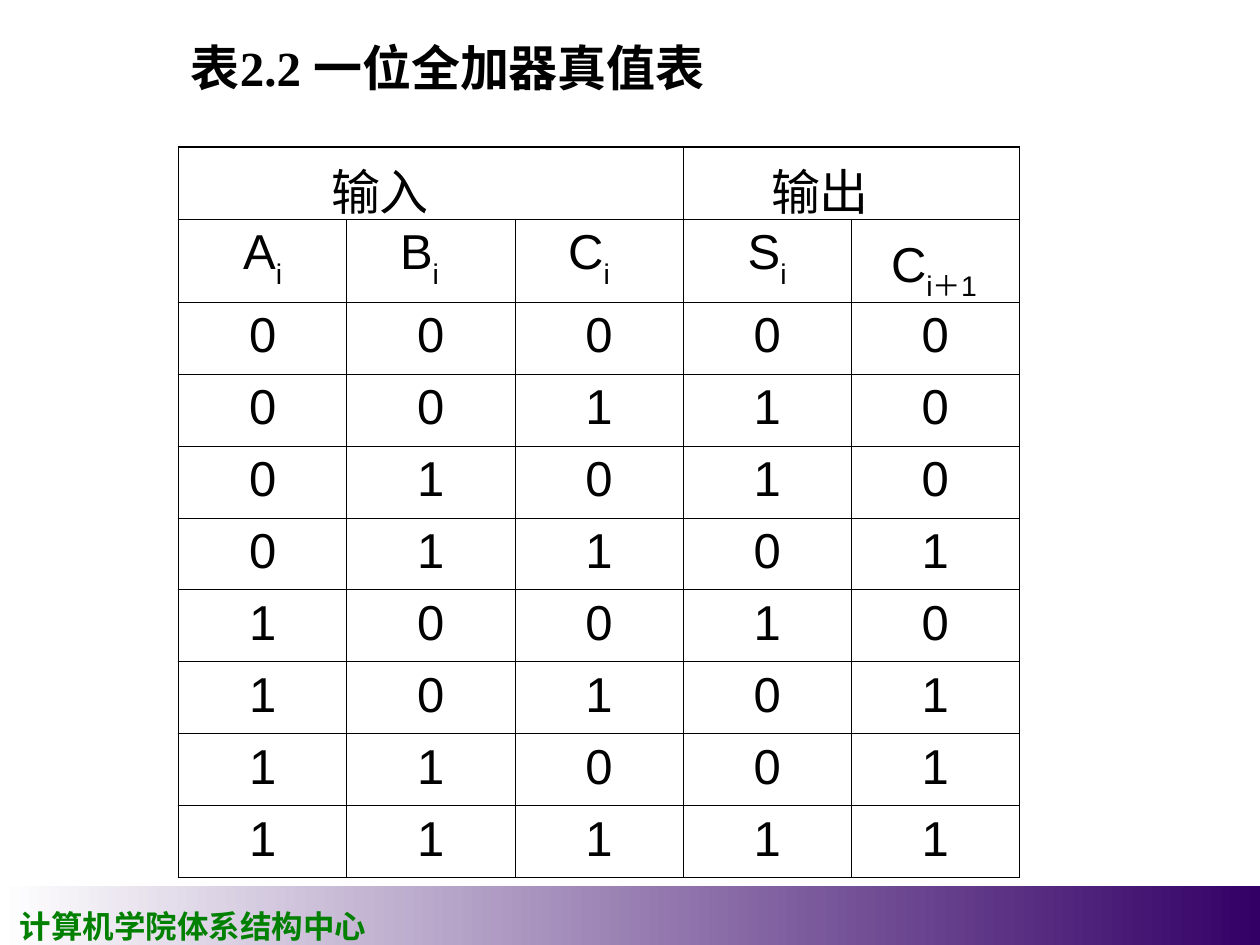
from itertools import product

from lxml import etree
from pptx import Presentation
from pptx import util as u
from pptx.dml import color
from pptx.enum import shapes, text
from pptx.oxml import ns


def rgb(value):
    return color.RGBColor.from_string(value)


def add_run(paragraph, wording, font_name, size, hex_color="000000", bold=False):
    run = paragraph.add_run()
    run.text = wording
    run.font.color.rgb = rgb(hex_color)
    formats = {"name": font_name, "size": u.Pt(size), "bold": bold}
    for name, value in formats.items():
        setattr(run.font, name, value)
    return run


presentation = Presentation()
presentation.slide_width, presentation.slide_height = u.Cm(25.4), u.Cm(19.05)
slide = presentation.slides.add_slide(presentation.slide_layouts[6])

# Footer band, fading from white to violet
band = slide.shapes.add_shape(
    shapes.MSO_SHAPE.RECTANGLE, u.Cm(0), u.Cm(17.86), u.Cm(25.4), u.Cm(1.19))
band.shadow.inherit = False
band.line.fill.background()
band.fill.gradient()
band.fill.gradient_angle = 0
for stop, hex_color in zip(band.fill.gradient_stops, ("FFFFFF", "330066")):
    stop.color.rgb = rgb(hex_color)

# Title and footer text: wording, left, top, width, height, size, colour, wrap
labels = [
    ("计算机学院体系结构中心", 0.15, 18.16, 7.49, 1.02, 18, "008000", False),
    ("表2.2 一位全加器真值表", 3.6, 0.64, 11.99, 1.45, 28, "000000", True),
]
for wording, left, top, width, height, size, hex_color, wrap in labels:
    box = slide.shapes.add_textbox(u.Cm(left), u.Cm(top), u.Cm(width), u.Cm(height))
    box.text_frame.word_wrap = wrap
    add_run(box.text_frame.paragraphs[0], wording, "Times New Roman", size, hex_color, True)

# Truth table: each cell is (text, subscript, indent in cm or None for centred)
input_header, output_header = ("输入", "", 2.82), ("输出", "", 1.52)
rows = [
    [input_header, None, None, output_header, None],
    [("A", "i", None), ("B", "i", 0.82), ("C", "i", 0.82), ("S", "i", None),
     ("C", "i＋1", 0.55)],
]
for a, b, carry in product((0, 1), repeat=3):
    total = a + b + carry
    values = (a, b, carry, total % 2, total // 2)
    rows.append([(str(value), "", None) for value in values])

row_count, column_count = len(rows), len(rows[0])
frame = slide.shapes.add_table(
    row_count, column_count, u.Cm(3.6), u.Cm(2.97), u.Cm(16.95), u.Cm(14.72))
table = frame.table
table.first_row = table.horz_banding = False
for column in table.columns:
    column.width = u.Cm(3.39)
for index, row in enumerate(table.rows):
    row.height = u.Cm(1.67 if index == 1 else 1.45)
table.cell(0, 0).merge(table.cell(0, 2))
table.cell(0, 3).merge(table.cell(0, 4))

for r, c in product(range(row_count), range(column_count)):
    cell = table.cell(r, c)
    cell.fill.background()
    if cell.is_spanned:
        continue

    # Cell text
    wording, subscript, indent = rows[r][c]
    paragraph = cell.text_frame.paragraphs[0]
    paragraph.space_before = u.Pt(7)
    if indent is None:
        paragraph.alignment = text.PP_ALIGN.CENTER
    else:
        paragraph._p.get_or_add_pPr().set("marL", str(u.Cm(indent)))
    add_run(paragraph, wording, "Arial", 28)
    if subscript:
        run = add_run(paragraph, subscript, "Arial", 28)
        run.font._element.set("baseline", "-30000")

    # Cell borders, heavier on the outside of the table
    last_column = c + (cell.span_width if cell.is_merge_origin else 1)
    outer_sides = {
        "lnL": c == 0,
        "lnR": last_column == column_count,
        "lnT": r == 0,
        "lnB": r == row_count - 1,
    }
    properties = cell._tc.get_or_add_tcPr()
    for position, (side, is_outer) in enumerate(outer_sides.items()):
        line = etree.Element(ns.qn("a:" + side), w=str(u.Pt(1.08 if is_outer else 0.45)))
        fill = etree.SubElement(line, ns.qn("a:solidFill"))
        etree.SubElement(fill, ns.qn("a:srgbClr"), val="000000")
        properties.insert(position, line)

presentation.save("out.pptx")
